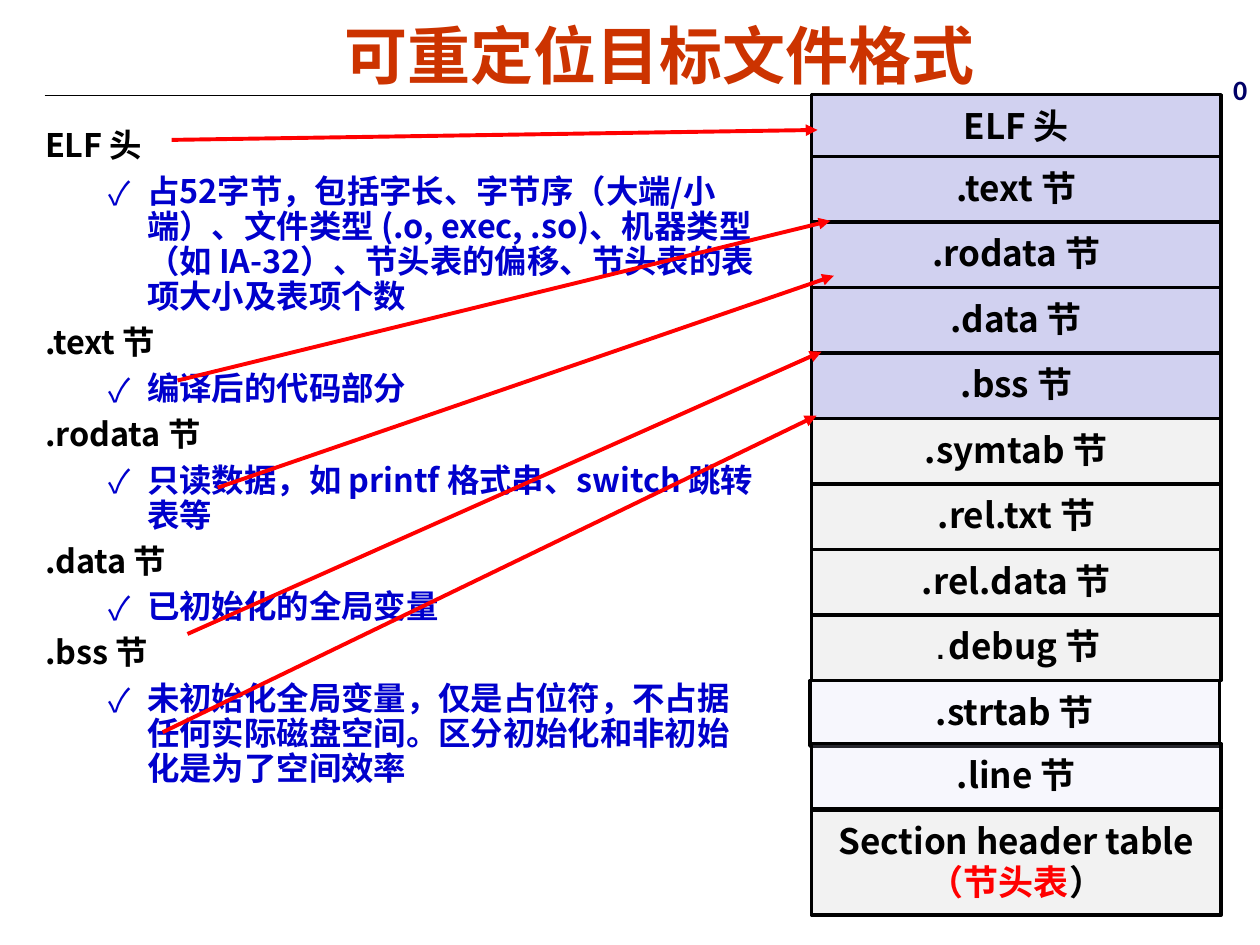
from dataclasses import dataclass
from typing import Any, NamedTuple, Optional

from lxml import etree
from pptx import Presentation
from pptx import util as u
from pptx.dml.color import RGBColor
from pptx.enum import shapes, text
from pptx.oxml.ns import qn


@dataclass(frozen=True)
class Theme:
    black: str = "000000"
    title: str = "CC3300"
    detail: str = "0000CC"
    offset: str = "000066"
    red: str = "FF0000"
    loaded: str = "D1D1F0"
    linking: str = "F2F2F2"
    strings: str = "D6D6F5"
    strings_opacity: int = 19
    cjk: str = "Noto Sans CJK SC"
    title_pt: float = 36
    body_pt: float = 18.5
    section_pt: float = 20
    small_pt: float = 16
    rule_pt: float = 0.75
    border_pt: float = 2
    arrow_pt: float = 2.25


THEME = Theme()


class Box(NamedTuple):
    left: float
    top: float
    width: float
    height: float


class Run(NamedTuple):
    text: str
    color: str = THEME.black
    size: float = THEME.section_pt
    font: str = THEME.cjk


class Section(NamedTuple):
    box: Box
    lines: list[list[Run]]
    fill: str
    opacity: Optional[int] = None
    line_spacing: float = 0.94


class Topic(NamedTuple):
    heading: str
    detail: str


class Arrow(NamedTuple):
    x1: float
    y1: float
    x2: float
    y2: float


TOPICS = [
    Topic("ELF 头", "占52字节，包括字长、字节序（大端/小端）、文件类型 (.o, exec, .so)、"
          "机器类型（如 IA-32）、节头表的偏移、节头表的表项大小及表项个数"),
    Topic(".text 节", "编译后的代码部分"),
    Topic(".rodata 节", "只读数据，如 printf 格式串、switch 跳转表等"),
    Topic(".data 节", "已初始化的全局变量"),
    Topic(".bss 节", "未初始化全局变量，仅是占位符，不占据任何实际磁盘空间。"
          "区分初始化和非初始化是为了空间效率"),
]

ARROWS = [
    Arrow(3.46, 2.82, 16.48, 2.62),
    Arrow(3.58, 7.67, 16.74, 4.45),
    Arrow(4.39, 9.83, 16.81, 5.56),
    Arrow(3.78, 12.78, 16.56, 7.09),
    Arrow(3.28, 14.76, 16.46, 8.38),
]

TABLE_LEFT, TABLE_WIDTH = 16.36, 8.26
ROW_TOP, ROW_HEIGHT = 3.16, 1.32
NUDGES = {".strtab": (-0.03, 0), ".line": (0, -0.05)}


def file_sections() -> list[Section]:
    """The file layout from the ELF header down to the section header table."""
    groups = [
        (THEME.loaded, None, [".text", ".rodata", ".data", ".bss"]),
        (THEME.linking, None, [".symtab", ".rel.txt", ".rel.data", ".debug"]),
        (THEME.strings, THEME.strings_opacity, [".strtab", ".line"]),
    ]
    sections = [Section(Box(TABLE_LEFT, 1.91, TABLE_WIDTH, ROW_HEIGHT),
                        [[Run("ELF 头")]], THEME.loaded, line_spacing=0.98)]
    rows = [(name, fill, opacity) for fill, opacity, names in groups for name in names]
    for index, (name, fill, opacity) in enumerate(rows):
        runs = [Run(f"{name} 节")]
        if name == ".debug":
            runs = [Run(".", size=THEME.small_pt, font="Courier New"), Run("debug 节")]
        dx, dy = NUDGES.get(name, (0, 0))
        box = Box(TABLE_LEFT + dx, ROW_TOP + index * ROW_HEIGHT + dy,
                  TABLE_WIDTH, ROW_HEIGHT)
        sections.append(Section(box, [runs], fill, opacity))
    header_table = [[Run("Section header table")], [Run("（节头表", THEME.red), Run("）")]]
    sections.append(Section(Box(TABLE_LEFT, 16.34, TABLE_WIDTH, 2.11),
                            header_table, THEME.linking, line_spacing=0.98))
    return sections


def cm(values: tuple) -> list[u.Length]:
    return [u.Cm(value) for value in values]


def apply(target: Any, formats: dict[str, Any]) -> None:
    for name, value in formats.items():
        setattr(target, name, value)


def add_runs(paragraph: Any, runs: list[Run]) -> None:
    for item in runs:
        run = paragraph.add_run()
        run.text = item.text
        apply(run.font, {"name": item.font, "size": u.Pt(item.size), "bold": True})
        run.font.color.rgb = RGBColor.from_string(item.color)
        east_asian = etree.SubElement(run.font._element, qn("a:ea"))
        east_asian.set("typeface", THEME.cjk)


def write(frame: Any, lines: list[list[Run]], frame_formats: dict[str, Any],
          paragraph_formats: dict[str, Any]) -> None:
    apply(frame, frame_formats)
    for index, runs in enumerate(lines):
        paragraph = frame.add_paragraph() if index else frame.paragraphs[0]
        apply(paragraph, paragraph_formats)
        add_runs(paragraph, runs)


def indent(paragraph: Any, margin: float, hanging: float, bullet: str = "") -> None:
    properties = paragraph._p.get_or_add_pPr()
    properties.set("marL", str(u.Cm(margin)))
    properties.set("indent", str(-u.Cm(hanging)))
    if bullet:
        color = etree.SubElement(properties, qn("a:buClr"))
        etree.SubElement(color, qn("a:srgbClr")).set("val", THEME.detail)
        etree.SubElement(properties, qn("a:buFont")).set("typeface", THEME.cjk)
        etree.SubElement(properties, qn("a:buChar")).set("char", bullet)


def add_topics(slide: Any, box: Box) -> None:
    frame = slide.shapes.add_textbox(*cm(box)).text_frame
    frame.word_wrap = True
    for index, topic in enumerate(TOPICS):
        heading = frame.add_paragraph() if index else frame.paragraphs[0]
        detail = frame.add_paragraph()
        apply(heading, {"line_spacing": 0.9, "space_before": u.Pt(6.2 if index else 0)})
        apply(detail, {"level": 1, "line_spacing": 0.9, "space_before": u.Pt(6.2)})
        indent(heading, 0.97, 0.97)
        indent(detail, 2.06, 0.79, "✓")
        add_runs(heading, [Run(topic.heading, size=THEME.body_pt)])
        add_runs(detail, [Run(topic.detail, THEME.detail, THEME.body_pt)])


def add_section(slide: Any, section: Section) -> None:
    row = slide.shapes.add_shape(shapes.MSO_SHAPE.RECTANGLE, *cm(section.box))
    row.shadow.inherit = False
    row.fill.solid()
    row.fill.fore_color.rgb = RGBColor.from_string(section.fill)
    if section.opacity is not None:
        color = row.fill._xPr.find(".//" + qn("a:srgbClr"))
        etree.SubElement(color, qn("a:alpha")).set("val", str(section.opacity * 1000))
    row.line.color.rgb = RGBColor.from_string(THEME.black)
    row.line.width = u.Pt(THEME.border_pt)
    write(row.text_frame, section.lines,
          {"word_wrap": False, "vertical_anchor": text.MSO_ANCHOR.MIDDLE},
          {"alignment": text.PP_ALIGN.CENTER, "line_spacing": section.line_spacing})


def add_line(slide: Any, ends: Arrow, color: str, width: float, head: bool = False) -> None:
    line = slide.shapes.add_connector(shapes.MSO_CONNECTOR.STRAIGHT, *cm(ends))
    line.line.color.rgb = RGBColor.from_string(color)
    line.line.width = u.Pt(width)
    if head:
        etree.SubElement(line.line._get_or_add_ln(), qn("a:tailEnd")).set("type", "triangle")
    etree.SubElement(line._element.spPr, qn("a:effectLst"))


def main() -> None:
    deck = Presentation()
    apply(deck, {"slide_width": u.Cm(25.4), "slide_height": u.Cm(19.05)})
    slide = deck.slides.add_slide(deck.slide_layouts[6])
    add_line(slide, Arrow(0.9, 1.93, 24.51, 1.93), THEME.black, THEME.rule_pt)
    title = slide.shapes.add_textbox(*cm(Box(1.19, 0, 24.21, 2.18)))
    write(title.text_frame, [[Run("可重定位目标文件格式", THEME.title, THEME.title_pt, "Arial")]],
          {"word_wrap": True, "vertical_anchor": text.MSO_ANCHOR.MIDDLE},
          {"alignment": text.PP_ALIGN.CENTER})
    add_topics(slide, Box(0.66, 2.49, 14.86, 15.95))
    for section in file_sections():
        add_section(slide, section)
    offset = slide.shapes.add_textbox(*cm(Box(24.61, 1.37, 0.79, 0.91)))
    write(offset.text_frame, [[Run("0", THEME.offset, THEME.small_pt, "Calibri")]],
          {"word_wrap": False}, {"line_spacing": 0.98})
    for arrow in ARROWS:
        add_line(slide, arrow, THEME.red, THEME.arrow_pt, head=True)
    deck.save("out.pptx")


if __name__ == "__main__":
    main()
